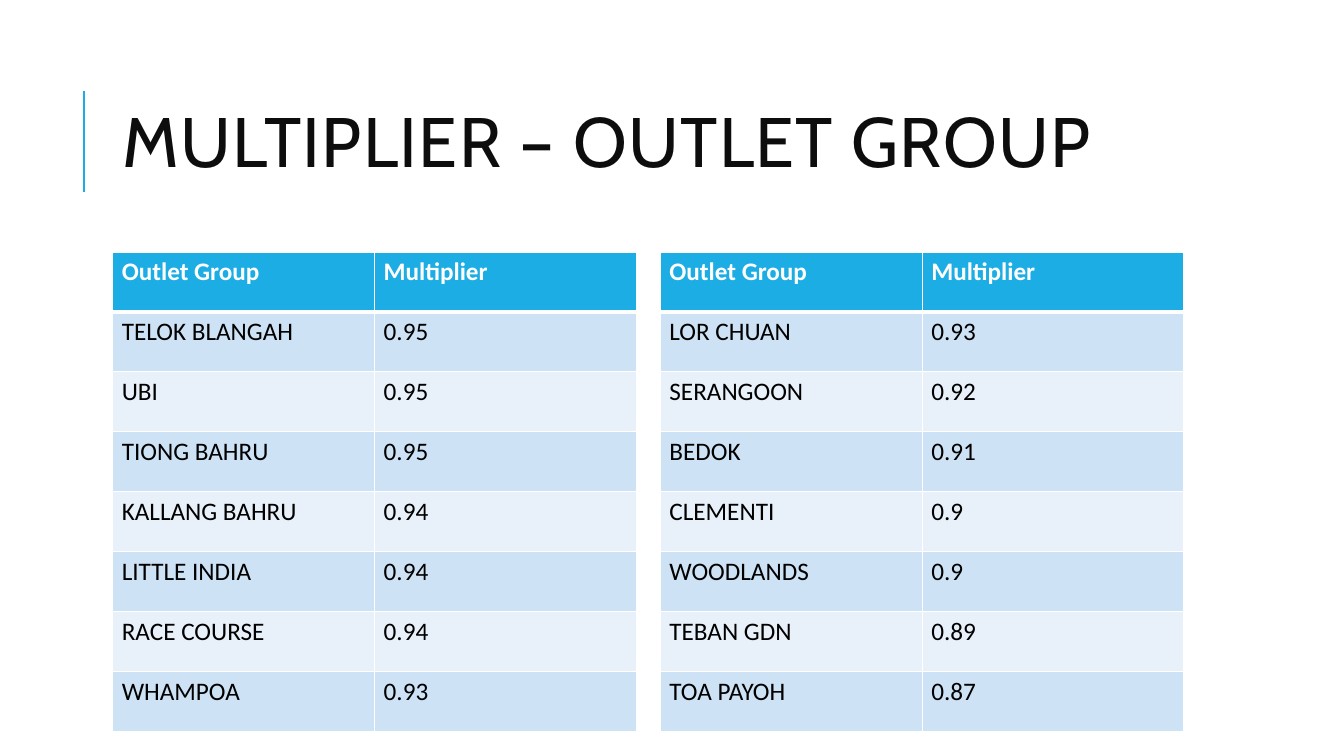
from dataclasses import dataclass

import lxml.etree
import pptx
import pptx.dml.color
import pptx.enum.shapes
import pptx.enum.text
import pptx.oxml.ns
import pptx.util

Cm = pptx.util.Cm
Pt = pptx.util.Pt
qn = pptx.oxml.ns.qn

ACCENT = "1CADE4"
WHITE = "FFFFFF"
BANDS = ("CDE3F5", "E8F1FA")
HEADINGS = ("Outlet Group", "Multiplier")
TABLE_TOP = 6.35
COLUMN_WIDTH = 6.6
ROW_HEIGHT = 1.51


@dataclass(frozen=True)
class OutletTable:
    left: float
    rows: tuple[tuple[str, str], ...]


OUTLET_TABLES = (
    OutletTable(2.84, (
        ("TELOK BLANGAH", "0.95"),
        ("UBI", "0.95"),
        ("TIONG BAHRU", "0.95"),
        ("KALLANG BAHRU", "0.94"),
        ("LITTLE INDIA", "0.94"),
        ("RACE COURSE", "0.94"),
        ("WHAMPOA", "0.93"),
    )),
    OutletTable(16.64, (
        ("LOR CHUAN", "0.93"),
        ("SERANGOON", "0.92"),
        ("BEDOK", "0.91"),
        ("CLEMENTI", "0.9"),
        ("WOODLANDS", "0.9"),
        ("TEBAN GDN", "0.89"),
        ("TOA PAYOH", "0.87"),
    )),
)


def color(value: str) -> pptx.dml.color.RGBColor:
    return pptx.dml.color.RGBColor.from_string(value)


def write_text(frame, text: str, *, size: float, font: str, fill: str,
               bold: bool = False, tracking: float = 0,
               line_spacing: float = 1.0) -> None:
    para = frame.paragraphs[0]
    para.alignment = pptx.enum.text.PP_ALIGN.LEFT
    para.line_spacing = line_spacing
    span = para.add_run()
    span.text = text
    span.font.size = Pt(size)
    span.font.name = font
    span.font.bold = bold
    span.font.color.rgb = color(fill)
    if tracking:
        span.font._element.set("spc", str(int(tracking * 100)))


def set_borders(cell, top: float, bottom: float) -> None:
    properties = cell._tc.get_or_add_tcPr()
    widths = {"lnL": 1, "lnR": 1, "lnT": top, "lnB": bottom}
    for index, (side, width) in enumerate(widths.items()):
        line = lxml.etree.Element(qn(f"a:{side}"), w=str(Pt(width)))
        solid = lxml.etree.SubElement(line, qn("a:solidFill"))
        lxml.etree.SubElement(solid, qn("a:srgbClr"), val=WHITE)
        properties.insert(index, line)


def draw_title(page) -> None:
    title = page.shapes.title
    title.left, title.top = Cm(2.84), Cm(1.63)
    title.width, title.height = Cm(27), Cm(4.17)
    frame = title.text_frame
    frame.word_wrap = True
    frame.auto_size = pptx.enum.text.MSO_AUTO_SIZE.NONE
    frame.vertical_anchor = pptx.enum.text.MSO_ANCHOR.MIDDLE
    write_text(frame, "MULTIPLIER – OUTLET GROUP", size=50, font="Cabin",
               fill="0D0D0D", tracking=1, line_spacing=0.8)


def draw_title_rule(page) -> None:
    rule = page.shapes.add_connector(
        pptx.enum.shapes.MSO_CONNECTOR.STRAIGHT,
        Cm(2.12), Cm(4.83), Cm(2.12), Cm(2.29))
    rule.line.color.rgb = color(ACCENT)
    rule.line.width = Pt(1.5)
    lxml.etree.SubElement(rule._element.spPr, qn("a:effectLst"))


def draw_table(page, outlets: OutletTable) -> None:
    rows = (HEADINGS, *outlets.rows)
    table = page.shapes.add_table(
        len(rows), len(HEADINGS), Cm(outlets.left), Cm(TABLE_TOP),
        Cm(COLUMN_WIDTH * len(HEADINGS)), Cm(ROW_HEIGHT * len(rows))).table
    for column in table.columns:
        column.width = Cm(COLUMN_WIDTH)
    for row_index, values in enumerate(rows):
        table.rows[row_index].height = Cm(ROW_HEIGHT)
        heading = row_index == 0
        for column_index, text in enumerate(values):
            cell = table.cell(row_index, column_index)
            cell.margin_left = cell.margin_right = Cm(0.23)
            cell.margin_top = cell.margin_bottom = Cm(0.12)
            cell.fill.solid()
            cell.fill.fore_color.rgb = color(
                ACCENT if heading else BANDS[(row_index - 1) % 2])
            set_borders(cell, top=3 if row_index == 1 else 1,
                        bottom=3 if heading else 1)
            write_text(cell.text_frame, text, size=18, font="Calibri",
                       fill=WHITE if heading else "000000", bold=heading)


def main() -> None:
    deck = pptx.Presentation()
    deck.slide_width, deck.slide_height = Cm(33.87), Cm(19.05)
    page = deck.slides.add_slide(deck.slide_layouts.get_by_name("Title Only"))
    page.background.fill.solid()
    page.background.fill.fore_color.rgb = color(WHITE)
    draw_title_rule(page)
    draw_title(page)
    for outlets in OUTLET_TABLES:
        draw_table(page, outlets)
    deck.save("out.pptx")


if __name__ == "__main__":
    main()
